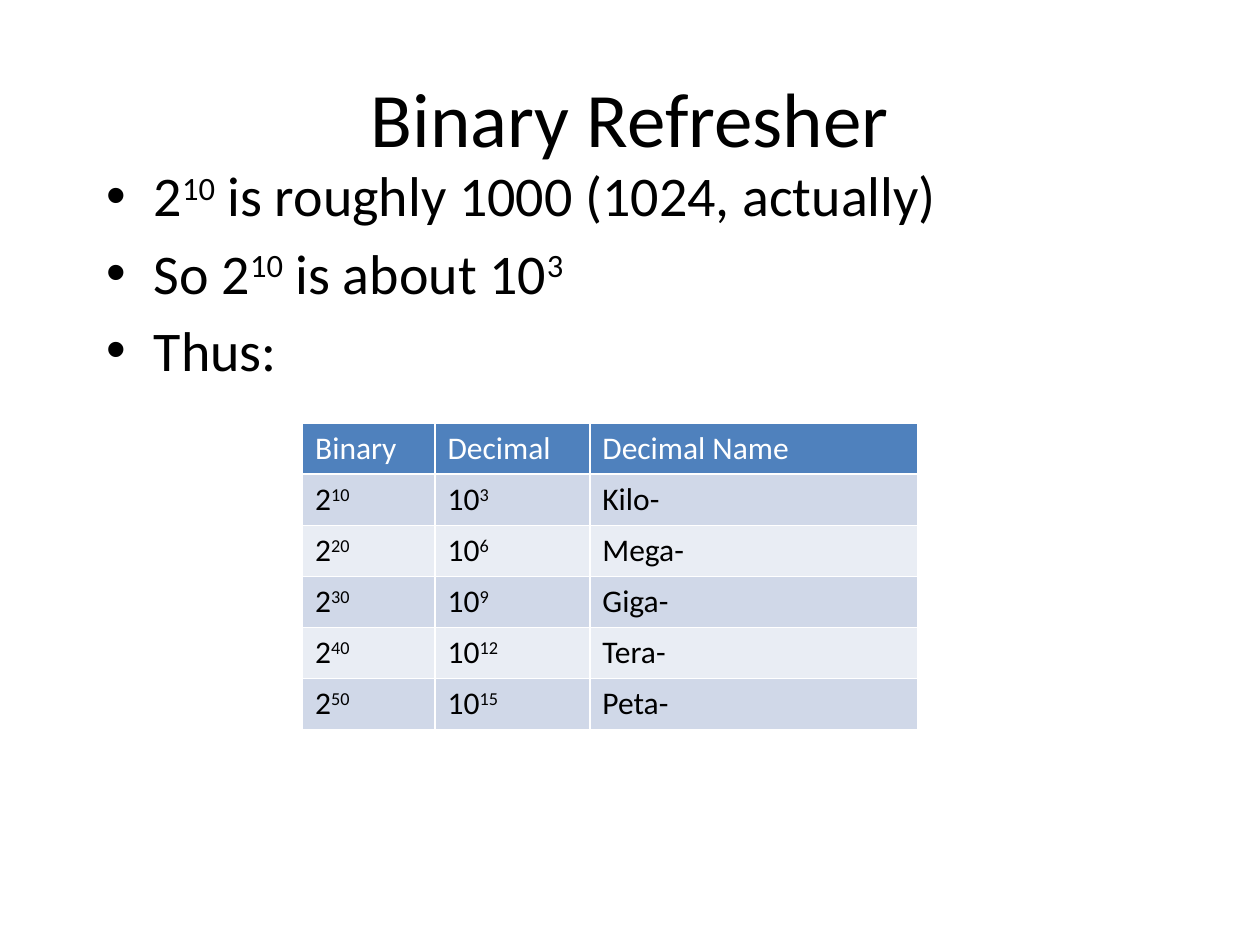
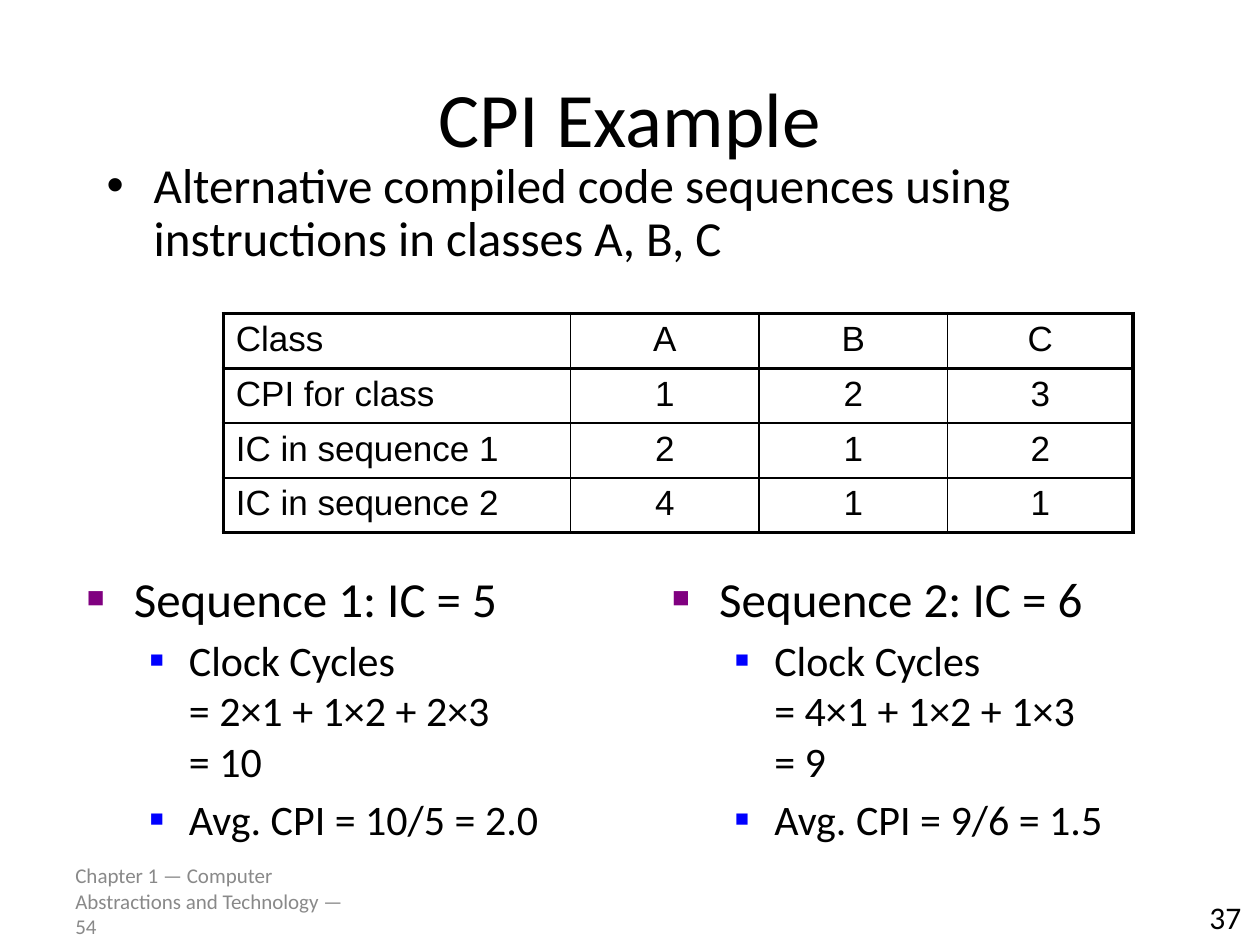
from dataclasses import dataclass, replace
from typing import NamedTuple, Optional

from lxml import etree
from pptx import Presentation
from pptx.dml.color import RGBColor
from pptx.enum.text import MSO_ANCHOR, MSO_AUTO_SIZE, PP_ALIGN
from pptx.oxml.ns import qn
from pptx.util import Cm, Pt

LEFT, CENTER = PP_ALIGN.LEFT, PP_ALIGN.CENTER
TOP, MIDDLE = MSO_ANCHOR.TOP, MSO_ANCHOR.MIDDLE
NO_FIT, GROW = MSO_AUTO_SIZE.NONE, MSO_AUTO_SIZE.SHAPE_TO_FIT_TEXT
TITLE_ONLY = 5
SPACE_RATIO = 0.18

COLORS = {
    "text": "000000",
    "paper": "FFFFFF",
    "footer": "898989",
    "header": "4F81BD",
    "band_dark": "D0D8E8",
    "band_light": "E9EDF4",
    "purple": "800080",
    "blue": "0000FF",
}


class Box(NamedTuple):
    left: float
    top: float
    width: float
    height: float

    def lengths(self) -> list:
        return [Cm(value) for value in self]


@dataclass(frozen=True)
class Bullet:
    symbol: str
    margin: float
    hanging: float
    color: str = "text"
    percent: int = 100
    level: int = 0


@dataclass(frozen=True)
class TextStyle:
    size: int
    color: str = "text"
    font: str = "Calibri"
    align: PP_ALIGN = LEFT
    line_spacing: float = 1.0
    bullet: Optional[Bullet] = None


class Line(NamedTuple):
    """Text in which ^...^ is raised and a newline is a line break."""
    text: str
    style: TextStyle


@dataclass(frozen=True)
class Table:
    box: Box
    column_widths: list
    rows: list
    row_fills: list
    header: TextStyle
    body: TextStyle
    rule_color: str
    row_rules: list
    column_rules: list
    other_align: PP_ALIGN = LEFT


DISC = Bullet("•", 0.95, 0.95)
TITLE = TextStyle(44, align=CENTER)
BODY = TextStyle(32, bullet=DISC)
SMALL_BODY = TextStyle(28, line_spacing=0.9, bullet=DISC)
SEQUENCE = TextStyle(28, bullet=Bullet("■", 0.95, 0.95, "purple", 60))
DETAIL = TextStyle(24, bullet=Bullet("■", 2.06, 0.79, "blue", 55, level=1))
FOOTER = TextStyle(12, "footer")
NUMBER = TextStyle(18)
HEADER_CELL = TextStyle(18, "paper")
CELL = TextStyle(18)
CLASS_CELL = TextStyle(20, font="Arial")

TITLE_BOX = Box(1.27, 0.76, 22.86, 3.18)

POWERS_TABLE = Table(
    box=Box(6.1, 8.53, 12.4, 6.18),
    column_widths=[2.67, 3.12, 6.61],
    rows=[["Binary", "Decimal", "Decimal Name"]] + [
        [f"2^{10 * step}^", f"10^{3 * step}^", prefix]
        for step, prefix in enumerate(["Kilo-", "Mega-", "Giga-", "Tera-", "Peta-"], 1)
    ],
    row_fills=["header"] + ["band_dark", "band_light"] * 2 + ["band_dark"],
    header=HEADER_CELL,
    body=CELL,
    rule_color="paper",
    row_rules=[1] * 7,
    column_rules=[1] * 4,
)

CLASS_TABLE = Table(
    box=Box(4.5, 6.32, 18.34, 4.42),
    column_widths=[7.0, 3.8, 3.8, 3.74],
    rows=[
        ["Class", "A", "B", "C"],
        ["CPI for class", "1", "2", "3"],
        ["IC in sequence 1", "2", "1", "2"],
        ["IC in sequence 2", "4", "1", "1"],
    ],
    row_fills=["paper"] * 4,
    header=CLASS_CELL,
    body=CLASS_CELL,
    rule_color="text",
    row_rules=[2.25, 2.25, 1, 1, 2.25],
    column_rules=[2.25, 1, 1, 1, 2.25],
    other_align=CENTER,
)


def set_all(target, values: dict) -> None:
    for name, value in values.items():
        setattr(target, name, value)


def add_element(parent, tag: str, **attributes: str):
    return etree.SubElement(parent, qn(tag), attributes)


def set_bullet(paragraph, bullet: Bullet) -> None:
    paragraph.level = bullet.level
    properties = paragraph._p.get_or_add_pPr()
    properties.set("marL", str(Cm(bullet.margin)))
    properties.set("indent", str(-Cm(bullet.hanging)))
    color = add_element(properties, "a:buClr")
    add_element(color, "a:srgbClr", val=COLORS[bullet.color])
    add_element(properties, "a:buSzPct", val=str(bullet.percent * 1000))
    add_element(properties, "a:buFont", typeface="Arial")
    add_element(properties, "a:buChar", char=bullet.symbol)


def add_run(paragraph, text: str, style: TextStyle, raised: bool) -> None:
    run = paragraph.add_run()
    run.text = text
    set_all(run.font, {"name": style.font, "size": Pt(style.size), "bold": False})
    run.font.color.rgb = RGBColor.from_string(COLORS[style.color])
    if raised:
        run._r.get_or_add_rPr().set("baseline", "30000")


def write_lines(text_frame, lines: list) -> None:
    for index, (text, style) in enumerate(lines):
        paragraph = text_frame.add_paragraph() if index else text_frame.paragraphs[0]
        if style.bullet:
            set_bullet(paragraph, style.bullet)
        set_all(paragraph, {
            "alignment": style.align,
            "line_spacing": style.line_spacing,
            "space_before": Pt(style.size * SPACE_RATIO if index else 0),
        })
        for part_index, part in enumerate(text.split("^")):
            for line_index, piece in enumerate(part.split("\n")):
                if line_index:
                    paragraph.add_line_break()
                if piece:
                    add_run(paragraph, piece, style, raised=part_index % 2 == 1)


def add_text(slide, box: Box, lines: list, anchor: MSO_ANCHOR = TOP,
             wrap: bool = True, auto_size: MSO_AUTO_SIZE = NO_FIT) -> None:
    text_frame = slide.shapes.add_textbox(*box.lengths()).text_frame
    set_all(text_frame, {"word_wrap": wrap, "vertical_anchor": anchor, "auto_size": auto_size})
    write_lines(text_frame, lines)


def add_titled_slide(presentation, title: str):
    slide = presentation.slides.add_slide(presentation.slide_layouts[TITLE_ONLY])
    shape = slide.shapes.title
    set_all(shape, dict(zip(TITLE_BOX._fields, TITLE_BOX.lengths())))
    shape.text_frame.vertical_anchor = MIDDLE
    write_lines(shape.text_frame, [Line(title, TITLE)])
    return slide


def set_borders(cell, color: str, widths: dict) -> None:
    """Put the lines before the fill, as the schema orders them."""
    properties = cell._tc.get_or_add_tcPr()
    for position, (side, width) in enumerate(widths.items()):
        line = etree.Element(qn(f"a:{side}"), w=str(Pt(width)))
        fill = add_element(line, "a:solidFill")
        add_element(fill, "a:srgbClr", val=COLORS[color])
        properties.insert(position, line)


def add_grid(slide, spec: Table) -> None:
    row_count, column_count = len(spec.rows), len(spec.column_widths)
    frame = slide.shapes.add_table(row_count, column_count, *spec.box.lengths())
    table = frame.table
    set_all(table, {"first_row": False, "horz_banding": False})
    for column, width in zip(table.columns, spec.column_widths):
        column.width = Cm(width)
    for row_index, texts in enumerate(spec.rows):
        table.rows[row_index].height = Cm(spec.box.height / row_count)
        row_style = spec.body if row_index else spec.header
        for column_index, text in enumerate(texts):
            cell = table.cell(row_index, column_index)
            cell.fill.solid()
            cell.fill.fore_color.rgb = RGBColor.from_string(COLORS[spec.row_fills[row_index]])
            set_borders(cell, spec.rule_color, {
                "lnL": spec.column_rules[column_index],
                "lnR": spec.column_rules[column_index + 1],
                "lnT": spec.row_rules[row_index],
                "lnB": spec.row_rules[row_index + 1],
            })
            style = replace(row_style, align=spec.other_align) if column_index else row_style
            write_lines(cell.text_frame, [Line(text, style)])


def add_binary_slide(presentation) -> None:
    slide = add_titled_slide(presentation, "Binary Refresher")
    add_text(slide, Box(1.9, 3.12, 22.99, 14.2), [
        Line("2^10^ is roughly 1000 (1024, actually)", BODY),
        Line("So 2^10^ is about 10^3^", BODY),
        Line("Thus:", BODY),
    ])
    add_grid(slide, POWERS_TABLE)


def add_cpi_slide(presentation) -> None:
    slide = add_titled_slide(presentation, "CPI Example")
    add_text(slide, Box(1.27, 17.65, 5.92, 1.02),
             [Line("Chapter 1 — Computer Abstractions and Technology — 54", FOOTER)], MIDDLE)
    add_text(slide, Box(1.9, 3.12, 22.99, 2.77), [
        Line("Alternative compiled code sequences using instructions in classes A, B, C",
             SMALL_BODY),
    ])
    add_grid(slide, CLASS_TABLE)
    sequences = [
        (1.5, "Sequence 1: IC = 5", "2×1 + 1×2 + 2×3\n= 10", "10/5 = 2.0"),
        (13.3, "Sequence 2: IC = 6", "4×1 + 1×2 + 1×3\n= 9", "9/6 = 1.5"),
    ]
    for left, heading, cycles, average in sequences:
        add_text(slide, Box(left, 11.33, 10.8, 5.79), [
            Line(heading, SEQUENCE),
            Line(f"Clock Cycles\n= {cycles}", DETAIL),
            Line(f"Avg. CPI = {average}", DETAIL),
        ])
    add_text(slide, Box(24.13, 17.98, 1.17, 1.02), [Line("37", NUMBER)],
             wrap=False, auto_size=GROW)


def main() -> None:
    presentation = Presentation()
    set_all(presentation, {"slide_width": Cm(25.4), "slide_height": Cm(19.05)})
    add_binary_slide(presentation)
    add_cpi_slide(presentation)
    presentation.save("out.pptx")


if __name__ == "__main__":
    main()
